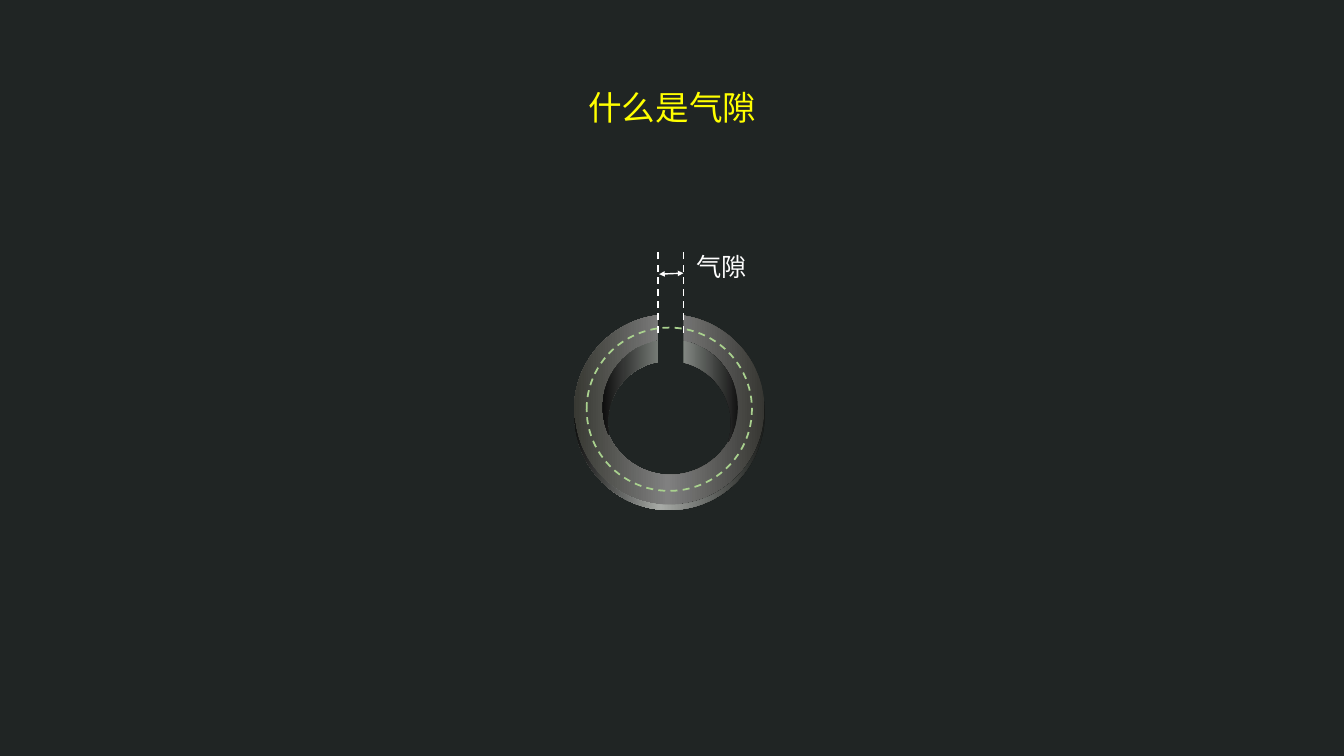
import math

import lxml.etree
import pptx
import pptx.dml.color
import pptx.enum.dml
import pptx.enum.shapes
import pptx.enum.text
import pptx.oxml.ns
import pptx.util

RGBColor = pptx.dml.color.RGBColor
BACKGROUND = RGBColor(0x20, 0x25, 0x24)
WHITE = RGBColor(0xFF, 0xFF, 0xFF)
YELLOW = RGBColor(0xFF, 0xFF, 0x00)
GREEN = RGBColor(0xA9, 0xD1, 0x8E)
FACE_STOPS = ((0, RGBColor(0x36, 0x36, 0x32)), (51, RGBColor(0x80, 0x80, 0x80)),
              (100, RGBColor(0x38, 0x39, 0x33)))
WALL_STOPS = ((5, RGBColor(0x15, 0x15, 0x15)), (47, RGBColor(0x94, 0x9A, 0x94)),
              (95, RGBColor(0x0F, 0x0F, 0x0F)))
SIDE_STOPS = ((0, RGBColor(0x14, 0x16, 0x14)), (56, RGBColor(0xA8, 0xAB, 0xA7)),
              (100, RGBColor(0x11, 0x11, 0x11)))
FONT = "Noto Sans CJK SC"
UNIT = pptx.util.Inches(0.01)
DASH = pptx.enum.dml.MSO_LINE.DASH


def add_element(parent, tag, **attributes):
    """Append a DrawingML element to parent."""
    return lxml.etree.SubElement(parent, pptx.oxml.ns.qn(tag), attributes)


def write_text(box, text, size, color, alignment):
    """Write one line of text into a box that does not wrap."""
    frame = box.text_frame
    frame.word_wrap = False
    para = frame.paragraphs[0]
    para.alignment = alignment
    span = para.add_run()
    span.text = text
    span.font.size = pptx.util.Pt(size)
    span.font.name = FONT
    span.font.color.rgb = color
    add_element(span.font._element, "a:ea", typeface=FONT)


def arc(circle, start, end):
    """Return the Bezier points of an arc of a (centre x, centre y, radius) circle."""
    x, y, radius = circle
    count = math.ceil(abs(end - start) / 90)
    step = math.radians(end - start) / count
    pull = 4 / 3 * math.tan(step / 4)
    points = []
    for index in range(count + 1):
        angle = math.radians(start) + index * step
        cos, sin = math.cos(angle), math.sin(angle)
        points += [(x + radius * (cos + side * pull * sin), y + radius * (sin - side * pull * cos))
                   for side in (1, 0, -1)]
    return points[1:-1]


def bend_lines(outline):
    """Turn every three line segments of an outline into one Bezier curve."""
    lines = list(outline._element.iter(pptx.oxml.ns.qn("a:lnTo")))
    for first, second, third in zip(lines[::3], lines[1::3], lines[2::3]):
        curve = lxml.etree.Element(pptx.oxml.ns.qn("a:cubicBezTo"))
        first.addprevious(curve)
        for line in (first, second, third):
            curve.append(line[0])
            line.getparent().remove(line)


def add_outline(page, box, contours, stops):
    """Add a gradient-filled curved outline whose contours are relative to the box."""
    left, top = box
    builder = None
    for contour in contours:
        points = [(round(left + x * UNIT), round(top + y * UNIT)) for x, y in contour]
        if builder is None:
            builder = page.shapes.build_freeform(*points[0], scale=1.0)
        else:
            builder.move_to(*points[0])
        builder.add_line_segments(points[1:], close=True)
    outline = builder.convert_to_shape()
    bend_lines(outline)
    outline.shadow.inherit = False
    outline.line.fill.background()
    outline.fill.gradient()
    outline.fill.gradient_angle = 180
    stop_list = outline._element.spPr.find(".//" + pptx.oxml.ns.qn("a:gsLst"))
    for stop in list(stop_list):
        stop_list.remove(stop)
    for position, color in stops:
        stop = add_element(stop_list, "a:gs", pos=str(position * 1000))
        add_element(stop, "a:srgbClr", val=str(color))


def add_line(page, start, end, width):
    """Add a white connector without shadow."""
    line = page.shapes.add_connector(pptx.enum.shapes.MSO_CONNECTOR.STRAIGHT, *start, *end)
    line.line.color.rgb = WHITE
    line.line.width = pptx.util.Pt(width)
    add_element(line._element.spPr, "a:effectLst")
    return line


def add_title(page, left, top, width, height):
    """Place the slide title."""
    title = page.shapes.title
    title.left, title.top, title.width, title.height = left, top, width, height
    title.text_frame.vertical_anchor = pptx.enum.text.MSO_ANCHOR.MIDDLE
    write_text(title, "什么是气隙", 24, YELLOW, pptx.enum.text.PP_ALIGN.CENTER)


def add_ring(page, left, top):
    """Draw the slotted ring: top face, inner wall, outer side and slot."""
    box = (left, top)
    face = (94, 94.5, 94.5)
    hole = (95, 92, 67)
    back = (94, 107, 61)
    base = (94, 100, 94)
    add_outline(page, box, [arc(face, 0, 360), arc(hole, 0, 360)], FACE_STOPS)
    add_outline(page, box, [arc(hole, 156, 391) + arc(back, 378, 169)[1:]], WALL_STOPS)
    add_outline(page, box, [arc(face, 175, -5) + arc(base, -8, 172)[1:]], SIDE_STOPS)
    slot = page.shapes.add_shape(pptx.enum.shapes.MSO_SHAPE.RECTANGLE, left + 83 * UNIT,
                                 top - 4 * UNIT, 25 * UNIT, 56 * UNIT)
    slot.shadow.inherit = False
    slot.fill.solid()
    slot.fill.fore_color.rgb = BACKGROUND
    slot.line.fill.background()


def add_gap_mark(page, left, top):
    """Mark the air gap with two dashed lines, a double arrow and a label."""
    right = left + 25 * UNIT
    for x in (left, right):
        guide = add_line(page, (x, top + 84 * UNIT), (x, top), 1.25)
        guide.line.dash_style = DASH
    arrow = add_line(page, (left + UNIT, top + 26 * UNIT), (right, top + 25 * UNIT), 1)
    stroke = arrow.line._get_or_add_ln()
    for tag in ("a:headEnd", "a:tailEnd"):
        add_element(stroke, tag, type="triangle", w="sm", len="sm")
    label = page.shapes.add_textbox(right + 3 * UNIT, top - 2 * UNIT, 71 * UNIT, 40 * UNIT)
    write_text(label, "气隙", 18, WHITE, pptx.enum.text.PP_ALIGN.LEFT)


def add_flux_path(page, left, top, width, height):
    """Draw the dashed circle that follows the ring."""
    circle = page.shapes.add_shape(pptx.enum.shapes.MSO_SHAPE.OVAL, left, top, width, height)
    circle.shadow.inherit = False
    circle.fill.background()
    circle.line.color.rgb = GREEN
    circle.line.width = pptx.util.Pt(1.25)
    circle.line.dash_style = DASH


def main():
    """Build the slide and save it."""
    deck = pptx.Presentation()
    deck.slide_width = pptx.util.Emu(12192000)
    deck.slide_height = pptx.util.Inches(7.5)
    page = deck.slides.add_slide(deck.slide_layouts[5])
    page.background.fill.solid()
    page.background.fill.fore_color.rgb = BACKGROUND
    add_title(page, 573 * UNIT, 81 * UNIT, 188 * UNIT, 50 * UNIT)
    add_ring(page, 570 * UNIT, 312 * UNIT)
    add_gap_mark(page, 653 * UNIT, 246 * UNIT)
    add_flux_path(page, 582 * UNIT, 325 * UNIT, 164 * UNIT, 162 * UNIT)
    deck.save("out.pptx")


if __name__ == "__main__":
    main()
